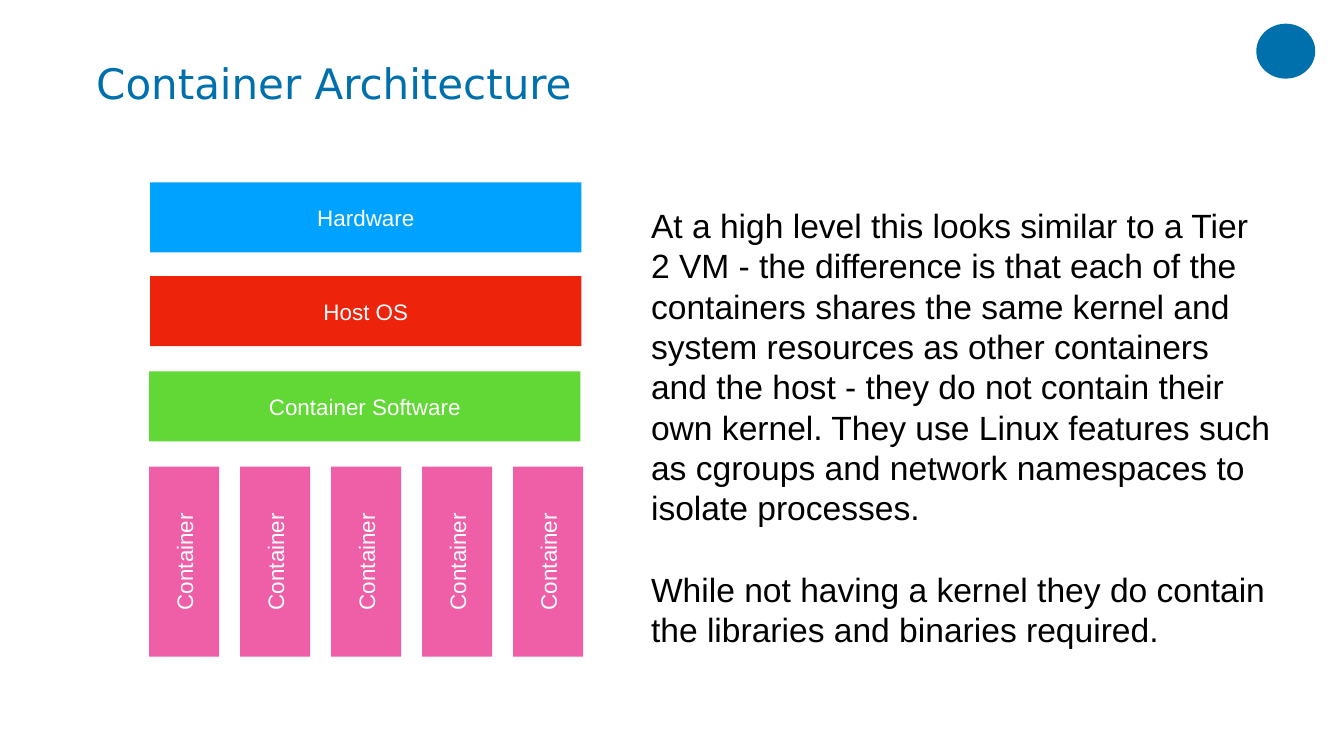
from pptx import Presentation
from pptx.dml.color import RGBColor
from pptx.enum.shapes import MSO_SHAPE
from pptx.enum.text import MSO_ANCHOR, PP_ALIGN
from pptx.util import Inches, Pt

RECT, OVAL = MSO_SHAPE.RECTANGLE, MSO_SHAPE.OVAL
MIDDLE = MSO_ANCHOR.MIDDLE
LEFT, CENTER = PP_ALIGN.LEFT, PP_ALIGN.CENTER

NAVY = RGBColor(0x00, 0x70, 0xAD)
BLUE = RGBColor(0x00, 0xA2, 0xFF)
RED = RGBColor(0xEE, 0x23, 0x0C)
GREEN = RGBColor(0x61, 0xD8, 0x36)
PINK = RGBColor(0xEF, 0x5F, 0xA7)
WHITE = RGBColor(0xFF, 0xFF, 0xFF)
BLACK = RGBColor(0x00, 0x00, 0x00)


class SlideBuilder:
    title_font = "DejaVu Sans"
    body_font = "Arial"
    label_size = 32

    def __init__(self, slide):
        self.slide = slide

    def fill_text(self, sp, paragraphs, size, color, font, align=LEFT, inset=0.0, gap=0):
        tf = sp.text_frame
        tf.word_wrap = True
        tf.vertical_anchor = MIDDLE
        tf.margin_left = tf.margin_right = Inches(inset)
        tf.margin_top = tf.margin_bottom = Inches(inset)
        for i, text in enumerate(paragraphs):
            p = tf.add_paragraph() if i else tf.paragraphs[0]
            p.text = text
            p.alignment = align
            p.space_before = Pt(gap if i else 0)
            p.font.size = Pt(size)
            p.font.name = font
            p.font.color.rgb = color

    def text(self, x, y, w, h, paragraphs, size, color, font, gap=0):
        sp = self.slide.shapes.add_textbox(Inches(x), Inches(y), Inches(w), Inches(h))
        self.fill_text(sp, paragraphs, size, color, font, inset=0.06, gap=gap)

    def shape(self, kind, x, y, w, h, fill):
        sp = self.slide.shapes.add_shape(kind, Inches(x), Inches(y), Inches(w), Inches(h))
        sp.shadow.inherit = False
        sp.fill.solid()
        sp.fill.fore_color.rgb = fill
        sp.line.fill.background()
        return sp

    def block(self, x, y, w, h, label, fill, rotation=0):
        sp = self.shape(RECT, x, y, w, h, fill)
        sp.rotation = rotation
        self.fill_text(sp, [label], self.label_size, WHITE, self.body_font, CENTER)


def main():
    prs = Presentation()
    prs.slide_width, prs.slide_height = Inches(26.67), Inches(15)
    s = SlideBuilder(prs.slides.add_slide(prs.slide_layouts[6]))

    # Title and corner mark
    s.text(1.85, 0.39, 22.97, 2.5, ["Container Architecture"], 60, NAVY, s.title_font)
    s.shape(OVAL, 24.93, 0.47, 1.17, 1.09, NAVY)

    # Layers of the stack
    layers = [
        ("Hardware", 2.98, 3.62, BLUE),
        ("Host OS", 2.98, 5.48, RED),
        ("Container Software", 2.96, 7.37, GREEN),
    ]
    for label, x, y, fill in layers:
        s.block(x, y, 8.56, 1.39, label, fill)

    # Row of containers, turned to read upwards
    first_left, last_left, count = 1.77, 8.99, 5
    step = (last_left - first_left) / (count - 1)
    for i in range(count):
        s.block(first_left + i * step, 10.45, 3.77, 1.39, "Container", PINK, 270)

    # Explanation
    s.text(12.86, 4.06, 12.45, 8.83, [
        "At a high level this looks similar to a Tier 2 VM - the difference is that "
        "each of the containers shares the same kernel and system resources as other "
        "containers and the host - they do not contain their own kernel. They use "
        "Linux features such as cgroups and network namespaces to isolate processes.",
        "While not having a kernel they do contain the libraries and binaries required.",
    ], 48, BLACK, s.body_font, gap=59)

    prs.save("out.pptx")


if __name__ == "__main__":
    main()
